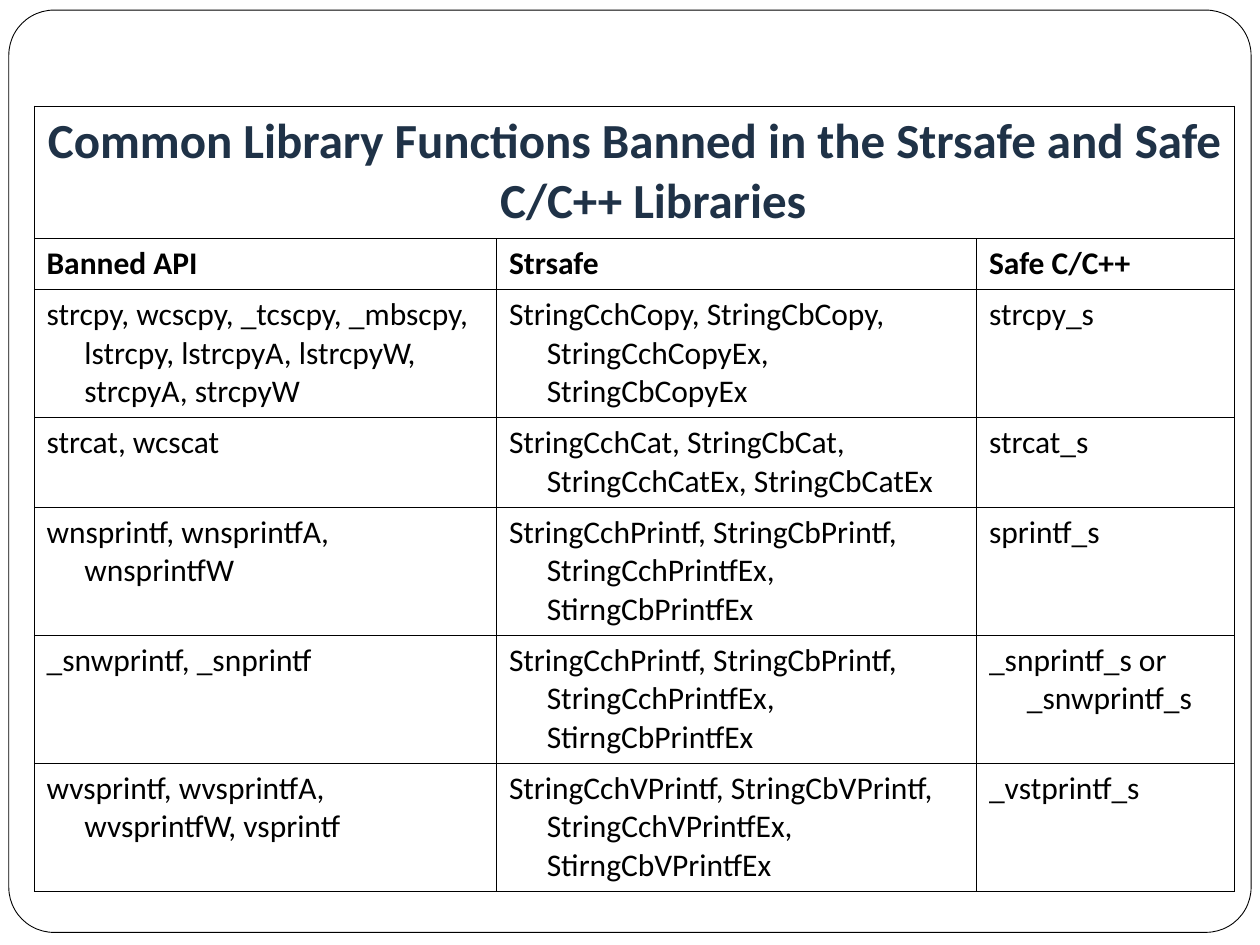
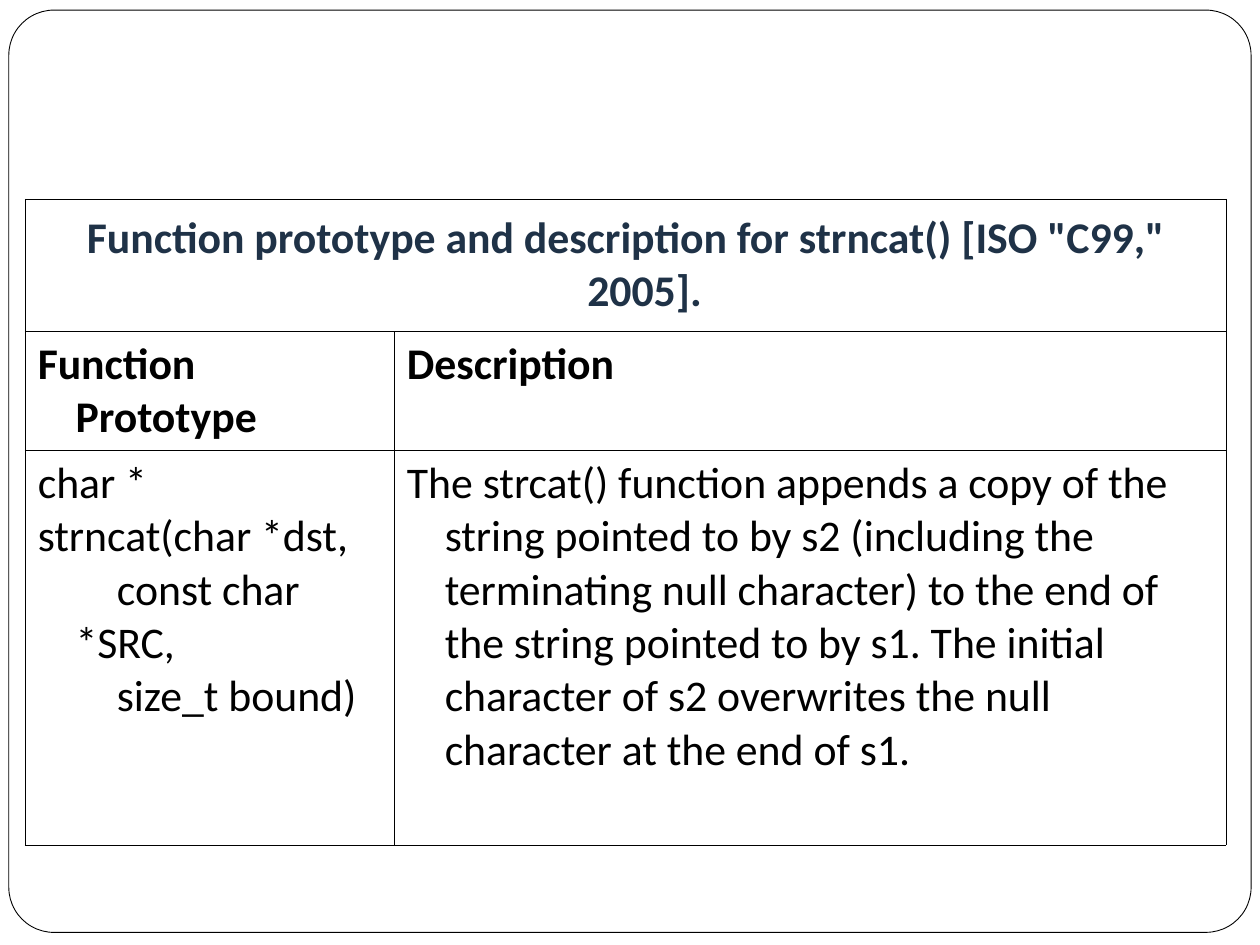
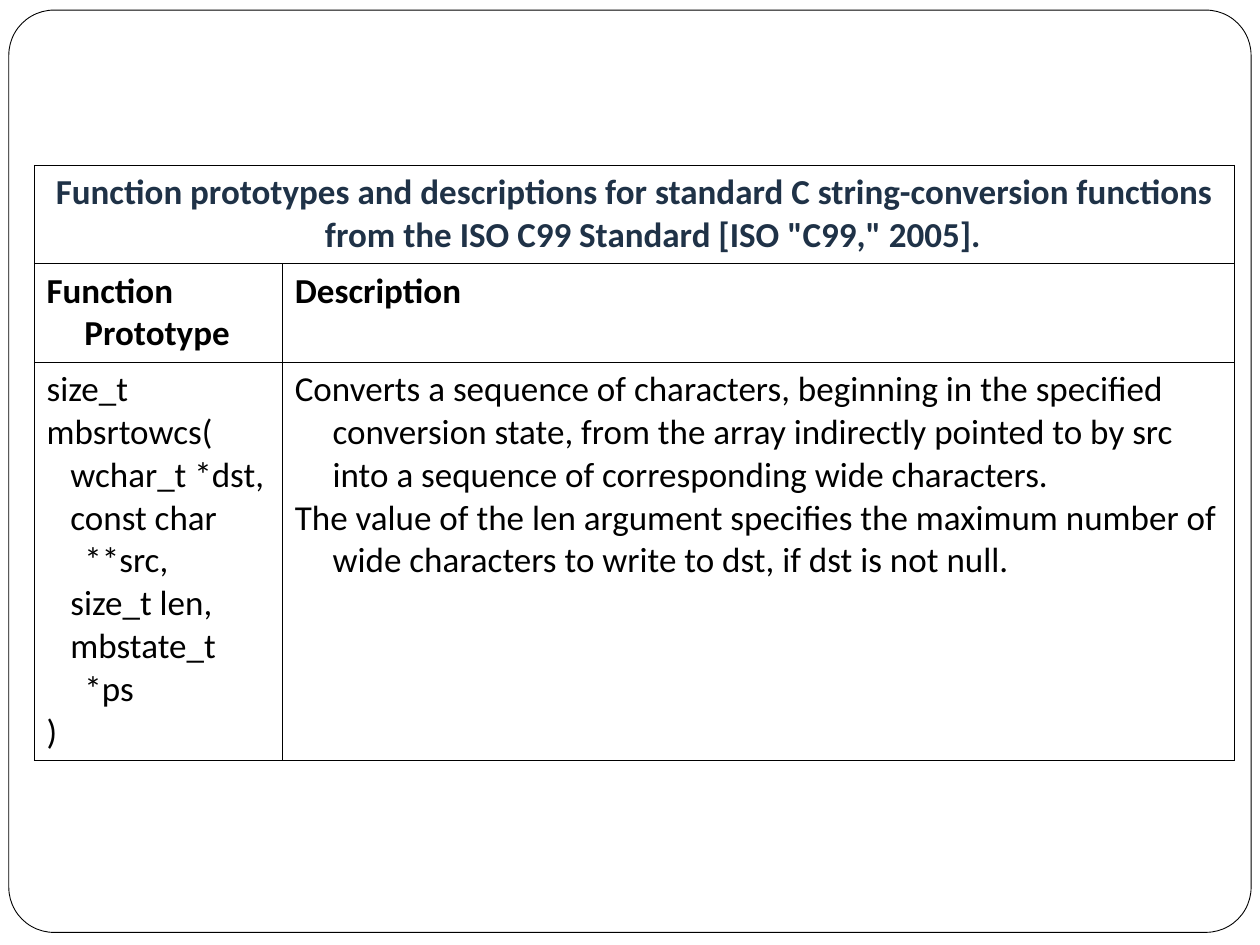
from pptx import Presentation
from pptx import util as u
from pptx.dml import color
from pptx.enum import shapes, text
from pptx.oxml import ns
from lxml import etree

COLORS = {"paper": "FFFFFF", "ink": "000000", "title": "1F3247"}
FONT = "Calibri"
HANGING = u.Inches(0.3)
BORDER = u.Pt(0.34)


def rgb(name):
    return color.RGBColor.from_string(COLORS[name])


class Deck:
    """Holds the shared style and the current slide."""

    def __init__(self):
        self.presentation = Presentation()
        self.presentation.slide_width = u.Inches(10)
        self.presentation.slide_height = u.Inches(7.5)
        self.slide = None

    def add_slide(self):
        layout = self.presentation.slide_layouts[6]
        self.slide = self.presentation.slides.add_slide(layout)
        self.add_frame()

    def add_frame(self):
        frame = self.slide.shapes.add_shape(
            shapes.MSO_SHAPE.ROUNDED_RECTANGLE,
            u.Inches(0.07), u.Inches(0.08), u.Inches(9.86), u.Inches(7.32))
        frame.adjustments[0] = 0.049
        frame.shadow.inherit = False
        frame.fill.solid()
        frame.fill.fore_color.rgb = rgb("paper")
        frame.line.color.rgb = rgb("ink")
        frame.line.width = u.Pt(0.5)

    def add_table(self, left, top, widths, heights, rows, title_size, body_size):
        """Draw a table: a title row across all columns, a bold header row, then the body."""
        table = self.slide.shapes.add_table(
            len(heights), len(widths), u.Inches(left), u.Inches(top),
            u.Inches(sum(widths)), u.Inches(sum(heights))).table
        table.first_row = table.horz_banding = False
        for column, width in zip(table.columns, widths):
            column.width = u.Inches(width)
        for row, height in zip(table.rows, heights):
            row.height = u.Inches(height)
        for cell in table.iter_cells():
            self.style_cell(cell)

        title_cell = table.cell(0, 0)
        title_cell.merge(table.cell(0, len(widths) - 1))
        title_cell.vertical_anchor = text.MSO_ANCHOR.MIDDLE
        for row_index, row in enumerate(rows):
            is_title = row_index == 0
            for column_index, content in enumerate(row):
                self.fill_cell(table.cell(row_index, column_index), content,
                               title_size if is_title else body_size,
                               "title" if is_title else "ink",
                               bold=row_index < 2, centered=is_title)

    def style_cell(self, cell):
        properties = cell._tc.get_or_add_tcPr()
        for side in ("a:lnL", "a:lnR", "a:lnT", "a:lnB"):
            line = etree.SubElement(properties, ns.qn(side), w=str(BORDER))
            fill = etree.SubElement(line, ns.qn("a:solidFill"))
            etree.SubElement(fill, ns.qn("a:srgbClr"), val=COLORS["ink"])
        cell.fill.background()
        cell.margin_left = cell.margin_right = u.Inches(0.1)
        cell.margin_top = cell.margin_bottom = u.Inches(0.05)

    def fill_cell(self, cell, content, size, color_name, bold, centered):
        """Set one paragraph per line, each with a hanging indent."""
        cell.text_frame.text = content
        for paragraph in cell.text_frame.paragraphs:
            properties = paragraph._p.get_or_add_pPr()
            properties.set("marL", str(HANGING))
            properties.set("indent", str(-HANGING))
            paragraph.alignment = text.PP_ALIGN.CENTER if centered else text.PP_ALIGN.LEFT
            font = paragraph.font
            font.name, font.size, font.bold = FONT, u.Pt(size), bold
            font.color.rgb = rgb(color_name)


def main():
    deck = Deck()

    # Banned functions and their replacements
    deck.add_slide()
    deck.add_table(
        0.27, 0.84, [3.67, 3.81, 2.05], [1.04, 0.4, 1, 0.7, 1, 1, 1],
        [["Common Library Functions Banned in the Strsafe and Safe C/C++ Libraries"],
         ["Banned API", "Strsafe", "Safe C/C++"],
         ["strcpy, wcscpy, _tcscpy, _mbscpy, lstrcpy, lstrcpyA, lstrcpyW, strcpyA, strcpyW",
          "StringCchCopy, StringCbCopy, StringCchCopyEx, StringCbCopyEx", "strcpy_s"],
         ["strcat, wcscat",
          "StringCchCat, StringCbCat, StringCchCatEx, StringCbCatEx", "strcat_s"],
         ["wnsprintf, wnsprintfA, wnsprintfW",
          "StringCchPrintf, StringCbPrintf, StringCchPrintfEx, StirngCbPrintfEx", "sprintf_s"],
         ["_snwprintf, _snprintf",
          "StringCchPrintf, StringCbPrintf, StringCchPrintfEx, StirngCbPrintfEx",
          "_snprintf_s or _snwprintf_s"],
         ["wvsprintf, wvsprintfA, wvsprintfW, vsprintf",
          "StringCchVPrintf, StringCbVPrintf, StringCchVPrintfEx, StirngCbVPrintfEx",
          "_vstprintf_s"]],
        title_size=28, body_size=18)

    # strncat()
    prototype_header = ["Function Prototype", "Description"]
    deck.add_slide()
    deck.add_table(
        0.2, 1.58, [2.93, 6.6], [1.05, 0.94, 3.13],
        [['Function prototype and description for strncat() [ISO "C99," 2005].'],
         prototype_header,
         ["char *\n"
          "strncat(char *dst,\n"
          "        const char *SRC,\n"
          "        size_t bound)",
          "The strcat() function appends a copy of the string pointed to by s2 (including the "
          "terminating null character) to the end of the string pointed to by s1. The initial "
          "character of s2 overwrites the null character at the end of s1."]],
        title_size=25, body_size=25)

    # String conversion
    deck.add_slide()
    deck.add_table(
        0.27, 1.31, [1.97, 7.56], [0.77, 0.77, 3.1],
        [["Function prototypes and descriptions for standard C string-conversion functions "
          'from the ISO C99 Standard [ISO "C99," 2005].'],
         prototype_header,
         ["size_t\n"
          "mbsrtowcs(\n"
          "   wchar_t *dst,\n"
          "   const char **src,\n"
          "   size_t len,\n"
          "   mbstate_t *ps\n"
          ")",
          "Converts a sequence of characters, beginning in the specified conversion state, "
          "from the array indirectly pointed to by src into a sequence of corresponding "
          "wide characters.\n"
          "The value of the len argument specifies the maximum number of wide characters "
          "to write to dst, if dst is not null."]],
        title_size=20, body_size=20)

    deck.presentation.save("out.pptx")


if __name__ == "__main__":
    main()
